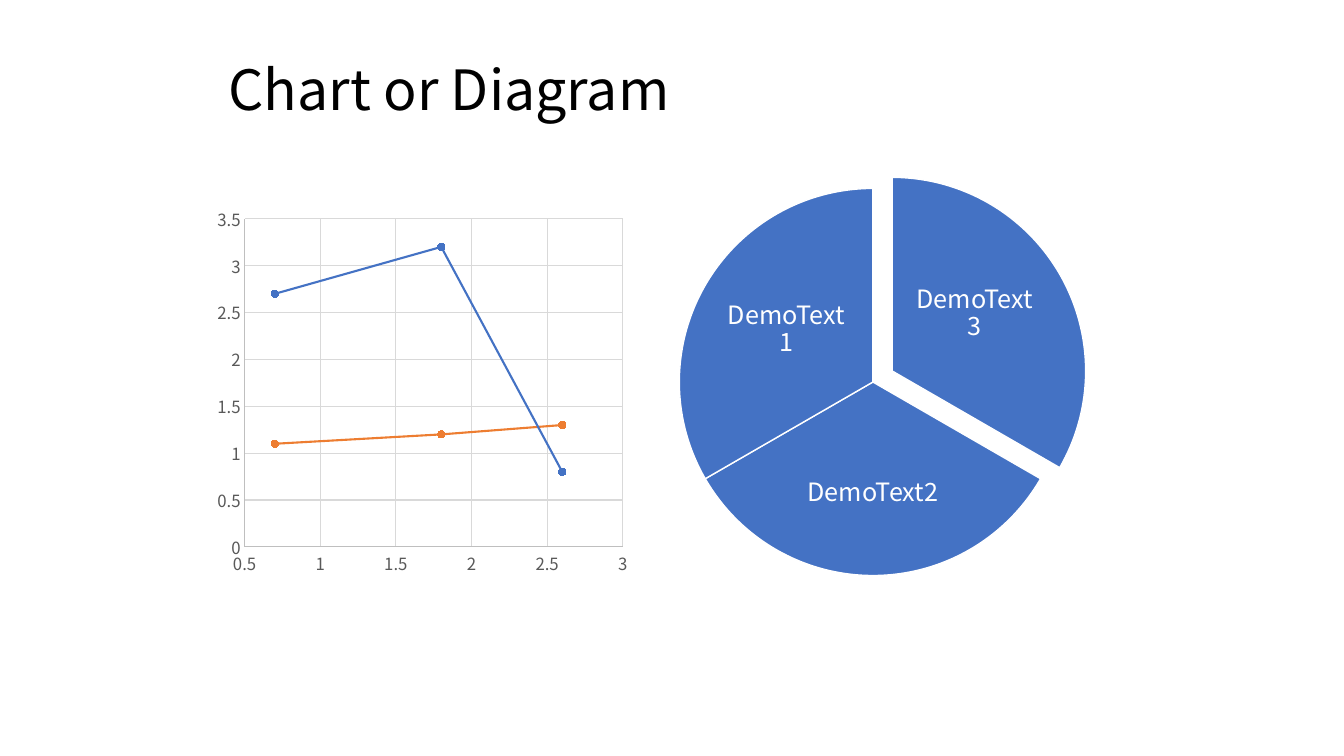
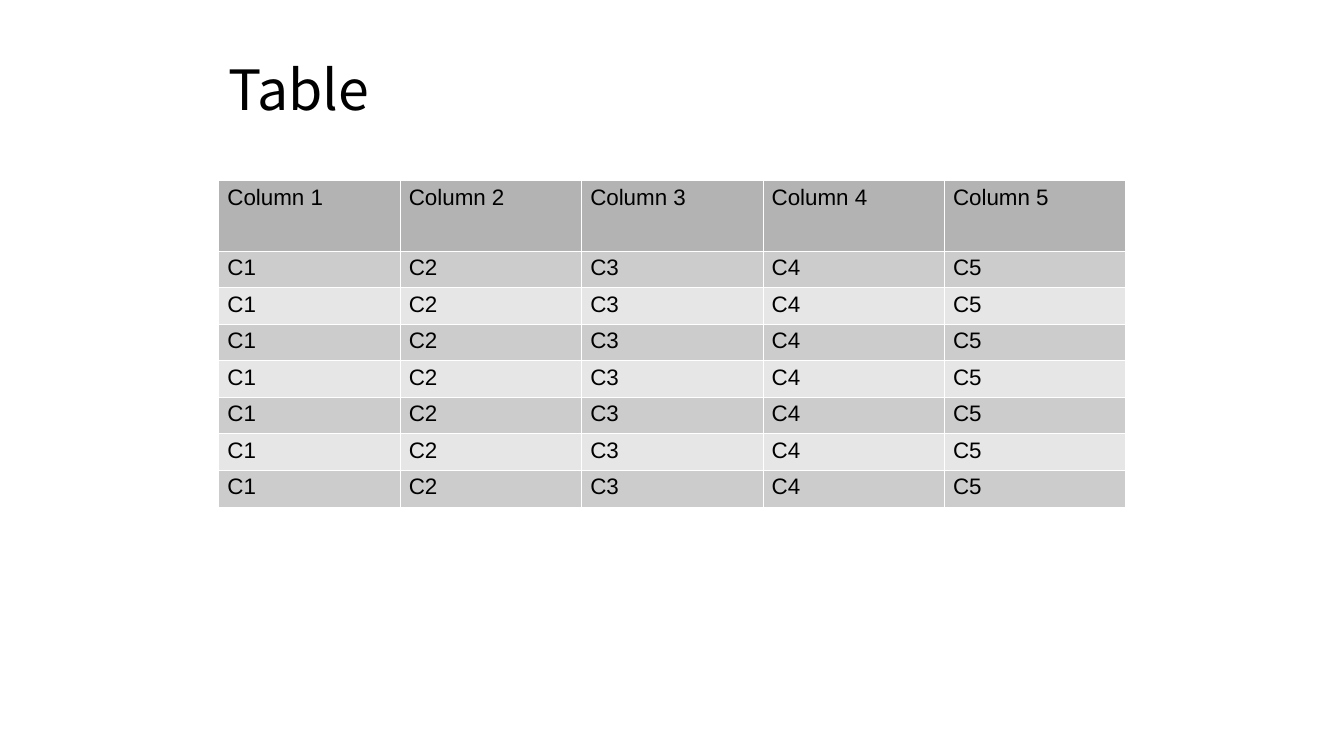
from lxml import etree
from pptx import Presentation
from pptx import util as u
from pptx.chart import data
from pptx.dml import color
from pptx.enum import chart as ch, shapes, text
from pptx.oxml import ns

COLORS = {
    "ink": "000000", "paper": "FFFFFF", "blue": "4472C4", "orange": "ED7D31",
    "label": "595959", "axis": "BFBFBF", "grid": "D9D9D9",
    "header": "B3B3B3", "dark_row": "CCCCCC", "light_row": "E6E6E6",
}
FONT, TABLE_FONT = "Noto Sans CJK SC", "Arial"
COLUMNS, ROWS = 40, 30


def rgb(name):
    return color.RGBColor.from_string(COLORS[name])


class Deck:
    def __init__(self):
        self.prs = Presentation()
        self.prs.slide_width, self.prs.slide_height = u.Inches(13.33), u.Inches(7.5)
        self.slide = None

    def x(self, columns):
        return round(self.prs.slide_width * columns / COLUMNS)

    def y(self, rows):
        return round(self.prs.slide_height * rows / ROWS)

    def box(self, left, top, width, height):
        return self.x(left), self.y(top), self.x(width), self.y(height)

    def font(self, font, size, ink, face=FONT):
        font.name, font.size, font.bold = face, u.Pt(size), False
        font.color.rgb = rgb(ink)

    def line(self, line, ink, width):
        line.color.rgb, line.width = rgb(ink), u.Pt(width)

    def fill(self, fill, ink):
        fill.solid()
        fill.fore_color.rgb = rgb(ink)

    def margins(self, holder, left, top, right, bottom):
        holder.margin_left, holder.margin_top = u.Inches(left), u.Inches(top)
        holder.margin_right, holder.margin_bottom = u.Inches(right), u.Inches(bottom)

    def add_slide(self, title):
        self.slide = self.prs.slides.add_slide(self.prs.slide_layouts[6])
        self.text(self.slide.shapes, title, (6.5, 2.28, 21.42, 2.88), 39.6, "ink",
                  (0.1, 0.03, 0.1, 0.05))

    def text(self, parent, words, place, size, ink, insets, align=text.PP_ALIGN.LEFT):
        frame = parent.add_textbox(*self.box(*place)).text_frame
        frame.word_wrap, frame.vertical_anchor = True, text.MSO_ANCHOR.MIDDLE
        self.margins(frame, *insets)
        paragraph = frame.paragraphs[0]
        paragraph.text, paragraph.alignment, paragraph.line_spacing = words, align, 0.9
        self.font(paragraph.font, size, ink)

    def pie(self, slices):
        parent = self.slide.shapes.add_group_shape().shapes
        for words, start, end, corner, label_place in slices:
            piece = parent.add_shape(shapes.MSO_SHAPE.PIE, *self.box(*corner, 11.52, 15.36))
            for index, degrees in enumerate((start, end)):
                piece.adjustments[index] = degrees * 0.6
            piece.shadow.inherit = False
            self.fill(piece.fill, "blue")
            self.line(piece.line, "paper", 1)
            self.text(parent, words, label_place, 18, "paper", (0.03,) * 4,
                      text.PP_ALIGN.CENTER)

    def axis(self, axis, low, high, step):
        axis.minimum_scale, axis.maximum_scale, axis.major_unit = low, high, step
        axis.major_tick_mark = axis.minor_tick_mark = ch.XL_TICK_MARK.NONE
        axis.has_major_gridlines = True
        self.line(axis.major_gridlines.format.line, "grid", 0.75)
        self.line(axis.format.line, "axis", 0.75)
        self.font(axis.tick_labels.font, 12, "label")
        axis.tick_labels.number_format = "General"
        axis.tick_labels.number_format_is_linked = False

    def plot_area(self, chart, **shares):
        area = chart._chartSpace.chart.plotArea
        for old in area.findall(ns.qn("c:layout")):
            area.remove(old)
        layout = etree.Element(ns.qn("c:layout"))
        area.insert(0, layout)
        manual = etree.SubElement(layout, ns.qn("c:manualLayout"))
        settings = {"layoutTarget": "inner", "xMode": "edge", "yMode": "edge", **shares}
        for tag, value in settings.items():
            etree.SubElement(manual, ns.qn("c:" + tag)).set("val", str(value))

    def scatter(self, place, x_values, curves):
        points = data.XyChartData()
        for name, y_values, _ in curves:
            series = points.add_series(name)
            for x_value, y_value in zip(x_values, y_values):
                series.add_data_point(x_value, y_value)
        chart = self.slide.shapes.add_chart(
            ch.XL_CHART_TYPE.XY_SCATTER_SMOOTH, *self.box(*place), points).chart
        chart.has_legend = chart.has_title = False
        self.font(chart.font, 10, "ink")
        chart.plots[0].vary_by_categories = False
        self.axis(chart.category_axis, 0.5, 3, 0.5)
        self.axis(chart.value_axis, 0, 3.5, 0.5)
        for series, (_, _, ink) in zip(chart.plots[0].series, curves):
            series.smooth = True
            self.line(series.format.line, ink, 1.5)
            series.marker.style, series.marker.size = ch.XL_MARKER_STYLE.CIRCLE, 5
            self.fill(series.marker.format.fill, ink)
            self.line(series.marker.format.line, ink, 0.75)
        self.plot_area(chart, x=0.085, y=0.05, w=0.885, h=0.85)

    def borders(self, cell):
        properties = cell._tc.get_or_add_tcPr()
        for index, side in enumerate(("lnL", "lnR", "lnT", "lnB")):
            edge = etree.Element(ns.qn("a:" + side), w=str(u.Pt(0.06)))
            paint = etree.SubElement(edge, ns.qn("a:solidFill"))
            etree.SubElement(paint, ns.qn("a:srgbClr"), val=COLORS["paper"])
            properties.insert(index, edge)

    def table(self, left, top, column, header, row, records):
        count = len(records[0])
        height = header + row * (len(records) - 1)
        table = self.slide.shapes.add_table(
            len(records), count, *self.box(left, top, column * count, height)).table
        table.first_row = table.horz_banding = False
        for index, record in enumerate(records):
            table.rows[index].height = self.y(row if index else header)
            band = ("light_row", "dark_row")[index % 2] if index else "header"
            for cell, words in zip(table.rows[index].cells, record):
                self.margins(cell, 0.09, 0.06, 0.09, 0.05)
                paragraph = cell.text_frame.paragraphs[0]
                paragraph.text, paragraph.line_spacing = words, 0.94
                self.font(paragraph.font, 16, "ink", TABLE_FONT)
                self.fill(cell.fill, band)
                self.borders(cell)


deck = Deck()

deck.add_slide("Chart or Diagram")
deck.scatter((6.2, 7.92, 12.72, 15.32), (0.7, 1.8, 2.6), [
    ("Series 1", (2.7, 3.2, 0.8), "blue"),
    ("Series 2", (1.1, 1.2, 1.3), "orange"),
])
deck.pie([
    ("DemoText3", 270, 30, (20.79, 7.04), (27.06, 9.88, 3.9, 5.12)),
    ("DemoText2", 30, 150, (20.22, 7.48), (23.37, 17.2, 5.22, 4.76)),
    ("DemoText1", 150, 270, (20.22, 7.48), (21.45, 10.52, 3.9, 5.12)),
])

deck.add_slide("Table")
numbers = range(1, 6)
deck.table(6.5, 7.16, 5.4, 2.8, 1.45,
           [[f"Column {n}" for n in numbers]] + [[f"C{n}" for n in numbers]] * 7)

deck.prs.save("out.pptx")
